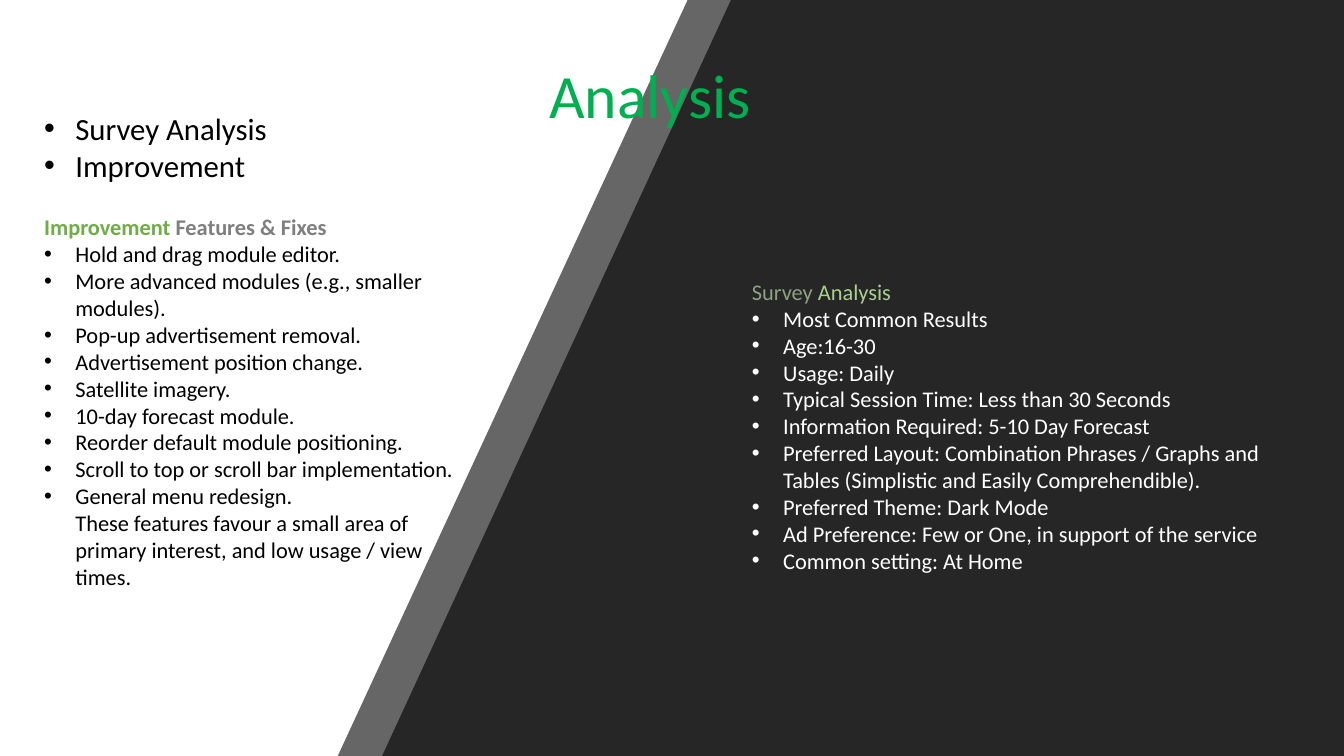
from lxml.etree import SubElement
from pptx import Presentation
from pptx.dml.color import RGBColor
from pptx.enum.shapes import MSO_SHAPE
from pptx.enum.text import MSO_AUTO_SIZE
from pptx.oxml.ns import qn
from pptx.util import Inches, Pt

WHITE = RGBColor(0xFF, 0xFF, 0xFF)
BLACK = RGBColor(0x00, 0x00, 0x00)
BACKDROP = RGBColor(0x7C, 0x7C, 0x7C)
DARK = RGBColor(0x26, 0x26, 0x26)
TITLE_GREEN = RGBColor(0x00, 0xB0, 0x50)
SAGE = RGBColor(0x8E, 0xA2, 0x81)
LIGHT_GREEN = RGBColor(0xA9, 0xD1, 0x8E)
GREEN = RGBColor(0x70, 0xAD, 0x47)
GREY = RGBColor(0x7F, 0x7F, 0x7F)

FONT = "Calibri"
WIDTH, HEIGHT = 13.33, 7.5
INDENT = Inches(0.31)

TOPICS = ["Survey Analysis", "Improvement"]
IMPROVEMENTS = [
    "Hold and drag module editor.",
    "More advanced modules (e.g., smaller modules).",
    "Pop-up advertisement removal.",
    "Advertisement position change.",
    "Satellite imagery.",
    "10-day forecast module.",
    "Reorder default module positioning.",
    "Scroll to top or scroll bar implementation.",
    "General menu redesign.\nThese features favour a small area of "
    "primary interest, and low usage / view times.",
]
SURVEY_RESULTS = [
    "Most Common Results",
    "Age:16-30",
    "Usage: Daily",
    "Typical Session Time: Less than 30 Seconds",
    "Information Required: 5-10 Day Forecast",
    "Preferred Layout: Combination Phrases / Graphs and Tables "
    "(Simplistic and Easily Comprehendible).",
    "Preferred Theme: Dark Mode",
    "Ad Preference: Few or One, in support of the service",
    "Common setting: At Home",
]


def paint(sp, color, opacity=100):
    sp.shadow.inherit = False
    sp.fill.solid()
    sp.fill.fore_color.rgb = color
    sp.line.fill.background()
    if opacity < 100:
        clr = sp.fill._xPr.find(qn("a:solidFill"))[0]
        SubElement(clr, qn("a:alpha")).set("val", str(opacity * 1000))


def add_slanted_panel(s, top_x, bottom_x, opacity=100):
    builder = s.shapes.build_freeform(Inches(top_x), 0)
    corners = [(WIDTH, 0), (WIDTH, HEIGHT), (bottom_x, HEIGHT)]
    builder.add_line_segments([(Inches(x), Inches(y)) for x, y in corners])
    paint(builder.convert_to_shape(), DARK, opacity)


def add_text_box(s, left, top, width, height, wrap=True):
    sp = s.shapes.add_textbox(Inches(left), Inches(top), Inches(width), Inches(height))
    tf = sp.text_frame
    tf.word_wrap = wrap
    tf.auto_size = MSO_AUTO_SIZE.SHAPE_TO_FIT_TEXT
    return tf


def next_paragraph(tf):
    return tf.paragraphs[0] if not tf.text else tf.add_paragraph()


def style_run(r, size, color, bold=False):
    r.font.name = FONT
    r.font.size = Pt(size)
    r.font.color.rgb = color
    r.font.bold = bold


def add_heading(tf, parts, size, bold=False):
    p = next_paragraph(tf)
    for text, color in parts:
        r = p.add_run()
        r.text = text
        style_run(r, size, color, bold)


def add_bullets(tf, items, size, color):
    for item in items:
        p = next_paragraph(tf)
        p.text = item
        for r in p.runs:
            style_run(r, size, color)
        for br in p._p.findall(qn("a:br")):
            SubElement(br, qn("a:rPr")).set("sz", str(size * 100))
        pPr = p._p.get_or_add_pPr()
        pPr.set("marL", str(INDENT))
        pPr.set("indent", str(-INDENT))
        SubElement(pPr, qn("a:buFont")).set("typeface", "Arial")
        SubElement(pPr, qn("a:buChar")).set("char", "•")


def main():
    prs = Presentation()
    prs.slide_width, prs.slide_height = Inches(WIDTH), Inches(HEIGHT)
    s = prs.slides.add_slide(prs.slide_layouts[6])
    s.background.fill.solid()
    s.background.fill.fore_color.rgb = BACKDROP

    page = s.shapes.add_shape(MSO_SHAPE.RECTANGLE, 0, 0, Inches(WIDTH), Inches(HEIGHT))
    paint(page, WHITE)
    add_slanted_panel(s, 6.82, 3.35, opacity=70)
    add_slanted_panel(s, 7.25, 3.79)

    title = add_text_box(s, 5.35, 0.52, 2.9, 0.84)
    add_heading(title, [("Analysis", TITLE_GREEN)], 44)

    survey = add_text_box(s, 7.36, 2.71, 5.64, 3.06)
    add_heading(survey, [("Survey", SAGE), (" Analysis", LIGHT_GREEN)], 16)
    add_bullets(survey, SURVEY_RESULTS, 16, WHITE)

    fixes = add_text_box(s, 0.34, 2.07, 4.34, 3.87)
    add_heading(fixes, [("Improvement ", GREEN), ("Features & Fixes", GREY)], 16, bold=True)
    add_bullets(fixes, IMPROVEMENTS, 16, BLACK)

    topics = add_text_box(s, 0.34, 1.04, 2.44, 0.84, wrap=False)
    add_bullets(topics, TOPICS, 22, BLACK)

    prs.save("out.pptx")


main()
